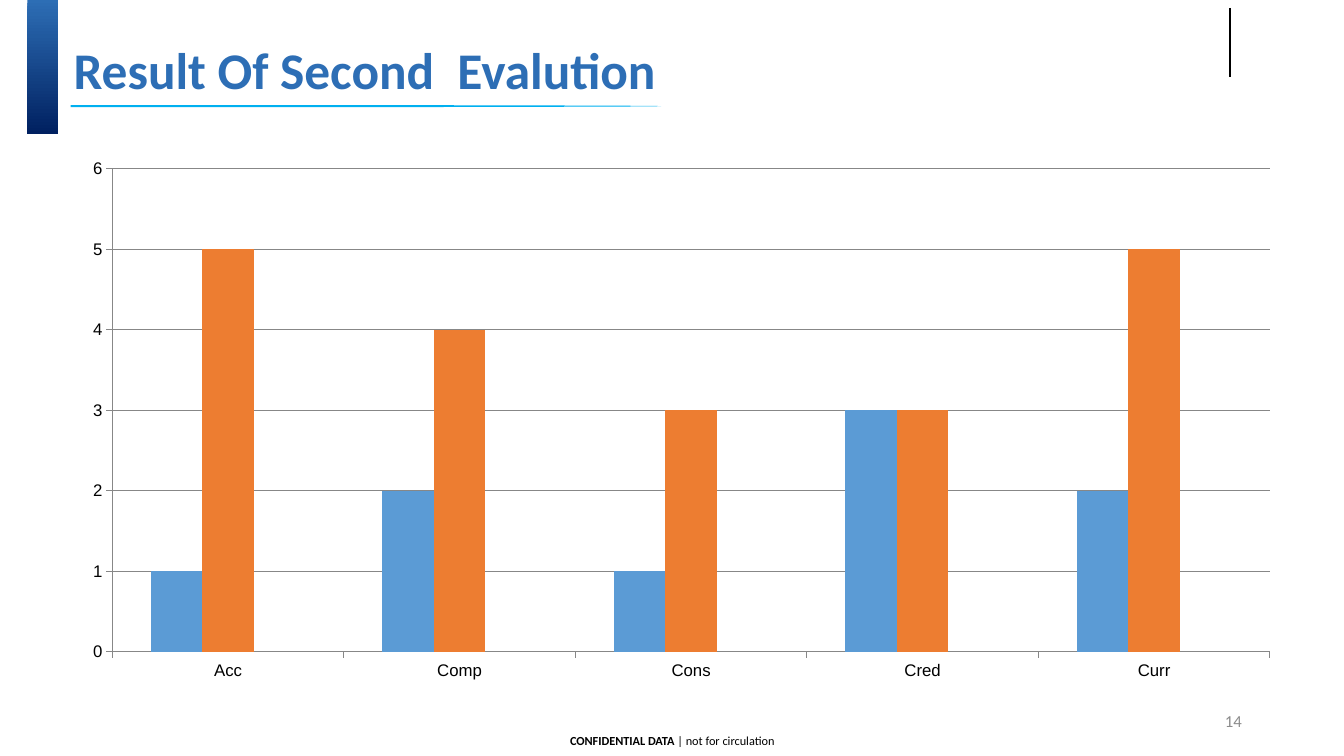
from lxml.etree import SubElement
from pptx import Presentation
from pptx.chart.data import CategoryChartData
from pptx.dml.color import RGBColor
from pptx.enum.chart import XL_CHART_TYPE, XL_TICK_MARK
from pptx.enum.shapes import MSO_CONNECTOR, MSO_SHAPE
from pptx.enum.text import MSO_ANCHOR, MSO_AUTO_SIZE, PP_ALIGN
from pptx.oxml.ns import qn
from pptx.util import Cm, Pt

COLORS = {
    "blue": "2D6EB5", "navy": "002060", "cyan": "00B0F0",
    "white": "FFFFFF", "black": "000000", "number": "8C8C8C", "grid": "878787",
    "Series 1": "5B9BD5", "Series 2": "ED7D31", "Series 3": "A5A5A5",
}
CATEGORIES = ["Acc", "Comp", "Cons", "Cred", "Curr"]
SCORES = {
    "Series 1": [1, 2, 1, 3, 2],
    "Series 2": [5, 4, 3, 3, 5],
    "Series 3": [None] * len(CATEGORIES),
}


def rgb(name):
    return RGBColor.from_string(COLORS[name])


def style_font(font, size, color, bold=None, name="Calibri"):
    font.name, font.size, font.bold = name, Pt(size), bold
    font.color.rgb = rgb(color)


def add_block(s, preset, box, *colors):
    """Add a borderless shape; two colours give a top-to-bottom gradient."""
    sp = s.shapes.add_shape(preset, *map(Cm, box))
    sp.shadow.inherit = False
    sp.line.fill.background()
    if len(colors) == 1:
        sp.fill.solid()
        sp.fill.fore_color.rgb = rgb(colors[0])
    else:
        sp.fill.gradient()
        sp.fill.gradient_angle = 270
        for stop, color in zip(sp.fill.gradient_stops, colors):
            stop.color.rgb = rgb(color)


def add_rule(s, x, top, bottom):
    line = s.shapes.add_connector(
        MSO_CONNECTOR.STRAIGHT, Cm(x), Cm(top), Cm(x), Cm(bottom))
    line.line.color.rgb = rgb("black")
    line.line.width = Pt(1)
    SubElement(line._element.spPr, qn("a:effectLst"))


def add_text(s, box, runs, size, color, align, anchor, wrap=True):
    """Add a one-paragraph text box from (text, bold) runs."""
    tf = s.shapes.add_textbox(*map(Cm, box)).text_frame
    tf.word_wrap = wrap
    tf.vertical_anchor = anchor
    p = tf.paragraphs[0]
    p.alignment = align
    style_font(p.font, size, color)
    for text, bold in runs:
        r = p.add_run()
        r.text = text
        style_font(r.font, size, color, bold)


def set_title(s, box, text):
    title = s.shapes.title
    title.left, title.top, title.width, title.height = map(Cm, box)
    tf = title.text_frame
    tf.text = text
    tf.auto_size = MSO_AUTO_SIZE.NONE
    tf.vertical_anchor = MSO_ANCHOR.MIDDLE
    p = tf.paragraphs[0]
    p.alignment = PP_ALIGN.LEFT
    p.line_spacing = 0.9
    style_font(p.font, 36.7, "blue", True)


def add_score_chart(s, box):
    data = CategoryChartData()
    data.categories = CATEGORIES
    for name, values in SCORES.items():
        data.add_series(name, values)
    chart = s.shapes.add_chart(
        XL_CHART_TYPE.COLUMN_CLUSTERED, *map(Cm, box), data).chart
    chart.has_legend = chart.has_title = False
    style_font(chart.font, 12, "black", name="Arial")

    plot = chart.plots[0]
    plot.gap_width, plot.overlap = 150, 0
    plot.vary_by_categories = False
    for series in plot.series:
        series.format.fill.solid()
        series.format.fill.fore_color.rgb = rgb(series.name)

    axis = chart.value_axis
    axis.minimum_scale, axis.maximum_scale, axis.major_unit = 0, 6, 1
    axis.has_major_gridlines = True
    for part in (axis, chart.category_axis, axis.major_gridlines):
        part.format.line.color.rgb = rgb("grid")
        part.format.line.width = Pt(0.75)
    for ax in (axis, chart.category_axis):
        ax.major_tick_mark = XL_TICK_MARK.OUTSIDE
        ax.minor_tick_mark = XL_TICK_MARK.NONE


def main():
    prs = Presentation()
    prs.slide_width, prs.slide_height = Cm(33.87), Cm(19.05)
    s = prs.slides.add_slide(prs.slide_layouts[5])

    # Header: tapering underline, margin mask, gradient bar, side rule
    add_block(s, MSO_SHAPE.OVAL, (-4.5, 2.65, 21.16, 0.05), "cyan")
    add_block(s, MSO_SHAPE.RECTANGLE, (0, 0, 1.78, 4.19), "white")
    add_block(s, MSO_SHAPE.RECTANGLE, (0.69, 0, 0.77, 3.39), "blue", "navy")
    add_rule(s, 31, 0.2, 1.95)
    set_title(s, (1.6, 0.86, 26.26, 1.93), "Result Of Second  Evalution")

    # Scores
    add_score_chart(s, (1.73, 3.76, 30.89, 13.64))

    # Footer
    add_text(s, (14.05, 18.36, 5.79, 0.64),
             [("CONFIDENTIAL DATA ", True), ("| not for circulation", False)],
             8.8, "black", PP_ALIGN.CENTER, MSO_ANCHOR.TOP, wrap=False)
    add_text(s, (23.93, 17.65, 7.62, 1.02), [("14", False)],
             12, "number", PP_ALIGN.RIGHT, MSO_ANCHOR.MIDDLE)

    prs.save("out.pptx")


if __name__ == "__main__":
    main()
